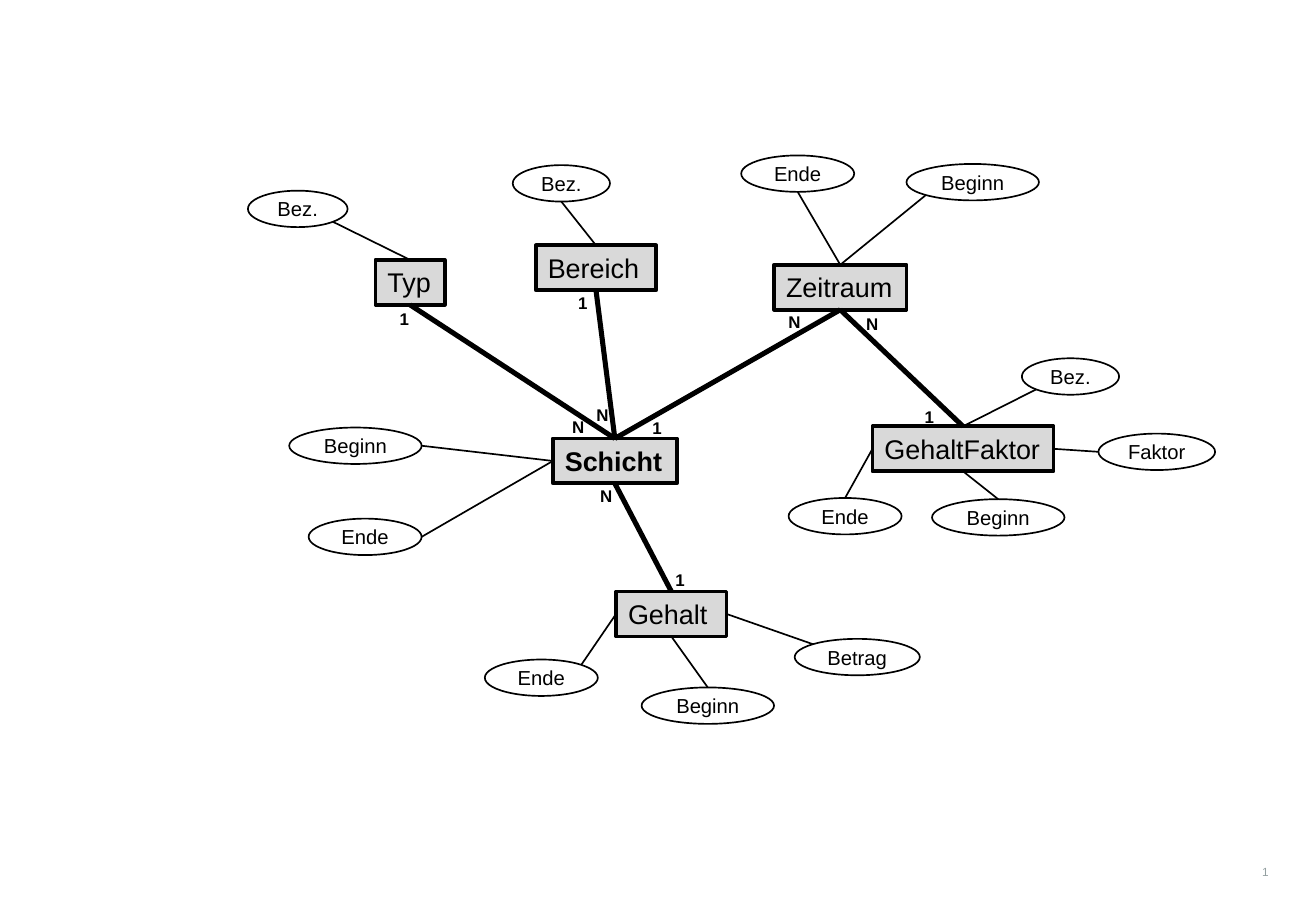
import math

import pptx
import pptx.dml.color
import pptx.enum.shapes
import pptx.enum.text
import pptx.oxml
import pptx.oxml.ns
import pptx.util

Inches = pptx.util.Inches
Pt = pptx.util.Pt
SHAPE = pptx.enum.shapes.MSO_SHAPE
ALIGN = pptx.enum.text.PP_ALIGN
ANCHOR = pptx.enum.text.MSO_ANCHOR
AUTO_SIZE = pptx.enum.text.MSO_AUTO_SIZE

BLACK = pptx.dml.color.RGBColor(0x00, 0x00, 0x00)
ENTITY_GRAY = pptx.dml.color.RGBColor(0xD9, 0xD9, 0xD9)
NUMBER_GRAY = pptx.dml.color.RGBColor(0x94, 0xA0, 0xA1)

ENTITY_HEIGHT = 0.37
ATTRIBUTE_HEIGHT = 0.3

# Connection sites of a rectangle
TOP, LEFT, BOTTOM, RIGHT = range(4)

# Directions from the centre of an ellipse to its connection sites
N, S, W, E = (0, -1), (0, 1), (-1, 0), (1, 0)
NW, NE, SW, SE = (-1, -1), (1, -1), (-1, 1), (1, 1)

# Name: left, top, width
ENTITIES = {
    "Schicht": (4.55, 3.61, 1.02),
    "Gehalt": (5.07, 4.87, 0.91),
    "Bereich": (4.41, 2.02, 0.99),
    "Typ": (3.09, 2.14, 0.57),
    "Zeitraum": (6.37, 2.18, 1.09),
    "GehaltFaktor": (7.18, 3.51, 1.49),
}

# Entity, its site, attribute, left, top, width, site of the attribute
ATTRIBUTES = [
    ("Typ", TOP, "Bez.", 2.04, 1.57, 0.82, SE),
    ("Bereich", TOP, "Bez.", 4.22, 1.36, 0.8, S),
    ("Zeitraum", TOP, "Ende", 6.1, 1.28, 0.93, S),
    ("Zeitraum", TOP, "Beginn", 7.46, 1.35, 1.09, SW),
    ("Schicht", LEFT, "Beginn", 2.38, 3.52, 1.09, E),
    ("Schicht", LEFT, "Ende", 2.54, 4.27, 0.93, E),
    ("Gehalt", LEFT, "Ende", 3.99, 5.43, 0.93, NE),
    ("Gehalt", BOTTOM, "Beginn", 5.28, 5.66, 1.09, N),
    ("Gehalt", RIGHT, "Betrag", 6.54, 5.26, 1.03, NW),
    ("GehaltFaktor", LEFT, "Ende", 6.49, 4.1, 0.93, N),
    ("GehaltFaktor", BOTTOM, "Beginn", 7.67, 4.11, 1.09, N),
    ("GehaltFaktor", RIGHT, "Faktor", 9.04, 3.57, 0.96, W),
    ("GehaltFaktor", TOP, "Bez.", 8.41, 2.95, 0.8, SW),
]

# Upper entity, lower entity, then cardinality, left and top at each end
RELATIONS = [
    ("Typ", "Schicht", ("1", 3.19, 2.49), ("N", 4.61, 3.38)),
    ("Bereich", "Schicht", ("1", 4.66, 2.36), ("N", 4.81, 3.28)),
    ("Zeitraum", "Schicht", ("N", 6.39, 2.52), ("1", 5.27, 3.39)),
    ("Zeitraum", "GehaltFaktor", ("N", 7.03, 2.53), ("1", 7.51, 3.3)),
    ("Schicht", "Gehalt", ("N", 4.84, 3.95), ("1", 5.46, 4.64)),
]


def write(sp, text, size, bold=False, color=BLACK, align=ALIGN.LEFT,
          anchor=ANCHOR.TOP, wrap=True, grow=False):
    tf = sp.text_frame
    tf.word_wrap = wrap
    tf.auto_size = AUTO_SIZE.SHAPE_TO_FIT_TEXT if grow else AUTO_SIZE.NONE
    tf.vertical_anchor = anchor
    p = tf.paragraphs[0]
    p.alignment = align
    r = p.add_run()
    r.text = text
    r.font.name = "Arial"
    r.font.size = Pt(size)
    r.font.bold = bold
    r.font.color.rgb = color
    return p


def add_outlined(slide, kind, left, top, width, height, weight):
    sp = slide.shapes.add_shape(
        kind, Inches(left), Inches(top), Inches(width), Inches(height))
    sp.shadow.inherit = False
    sp.fill.background()
    sp.line.color.rgb = BLACK
    sp.line.width = Pt(weight)
    return sp


def add_entity(slide, name, left, top, width):
    sp = add_outlined(slide, SHAPE.RECTANGLE, left, top, width, ENTITY_HEIGHT, 2.25)
    sp.fill.solid()
    sp.fill.fore_color.rgb = ENTITY_GRAY
    write(sp, name, 16, bold=name == "Schicht", grow=True)
    return sp


def add_attribute(slide, name, left, top, width):
    sp = add_outlined(slide, SHAPE.OVAL, left, top, width, ATTRIBUTE_HEIGHT, 1)
    write(sp, name, 12, align=ALIGN.CENTER, anchor=ANCHOR.MIDDLE, wrap=False)
    return sp


def ellipse_site(sp, direction):
    """Return the point of the ellipse's outline in the given direction."""
    dx, dy = direction
    scale = 2 * math.hypot(dx, dy)
    x = sp.left + sp.width / 2 + sp.width * dx / scale
    y = sp.top + sp.height / 2 + sp.height * dy / scale
    return round(x), round(y)


def add_line(slide, entity, site, end, weight):
    """Draw a line from a site of an entity to the point end."""
    line = slide.shapes.add_connector(
        pptx.enum.shapes.MSO_CONNECTOR.STRAIGHT, entity.left, entity.top, *end)
    line.begin_connect(entity, site)
    line.line.color.rgb = BLACK
    line.line.width = Pt(weight)
    line._element.spPr.append(pptx.oxml.parse_xml(
        "<a:effectLst %s/>" % pptx.oxml.ns.nsdecls("a")))
    return line


def add_relation(slide, upper, lower):
    line = add_line(slide, upper, BOTTOM, (lower.left, lower.top), 3)
    line.end_connect(lower, TOP)


def add_cardinality(slide, text, left, top):
    size = 0.28 if text == "1" else 0.3
    sp = slide.shapes.add_textbox(
        Inches(left), Inches(top), Inches(size), Inches(0.27))
    write(sp, text, 10, bold=True, wrap=text != "1", grow=True)


def add_slide_number(slide):
    sp = slide.shapes.add_textbox(
        Inches(10.13), Inches(7.05), Inches(0.41), Inches(0.31))
    p = write(sp, "1", 7, color=NUMBER_GRAY, align=ALIGN.RIGHT)
    p.line_spacing = 1.2
    p.space_before = Pt(1.4)


def main():
    prs = pptx.Presentation()
    prs.slide_width = Inches(10.83)
    prs.slide_height = Inches(7.5)
    slide = prs.slides.add_slide(prs.slide_layouts[6])

    add_slide_number(slide)
    entities = {name: add_entity(slide, name, *place)
                for name, place in ENTITIES.items()}
    for owner, site, name, left, top, width, direction in ATTRIBUTES:
        attribute = add_attribute(slide, name, left, top, width)
        add_line(slide, entities[owner], site, ellipse_site(attribute, direction), 1)
    for upper, lower, *cardinalities in RELATIONS:
        add_relation(slide, entities[upper], entities[lower])
        for cardinality in cardinalities:
            add_cardinality(slide, *cardinality)

    prs.save("out.pptx")


if __name__ == "__main__":
    main()
